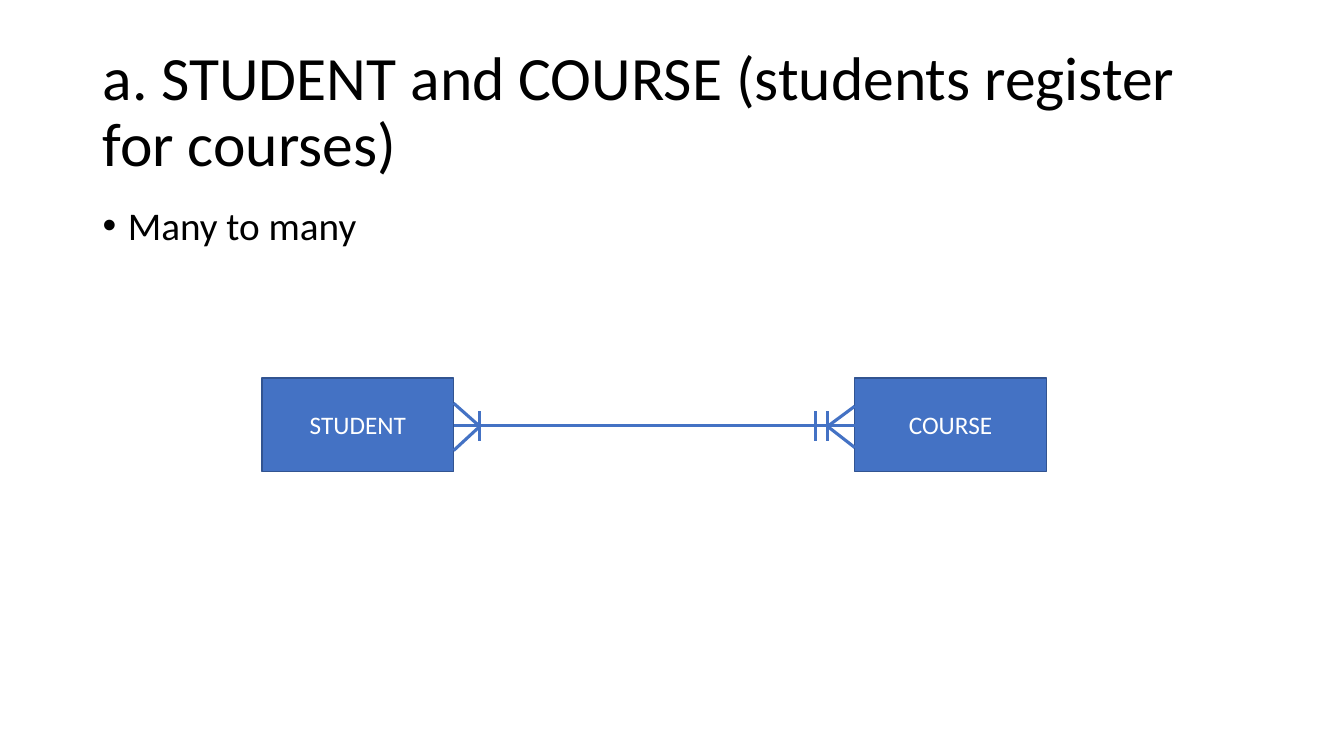
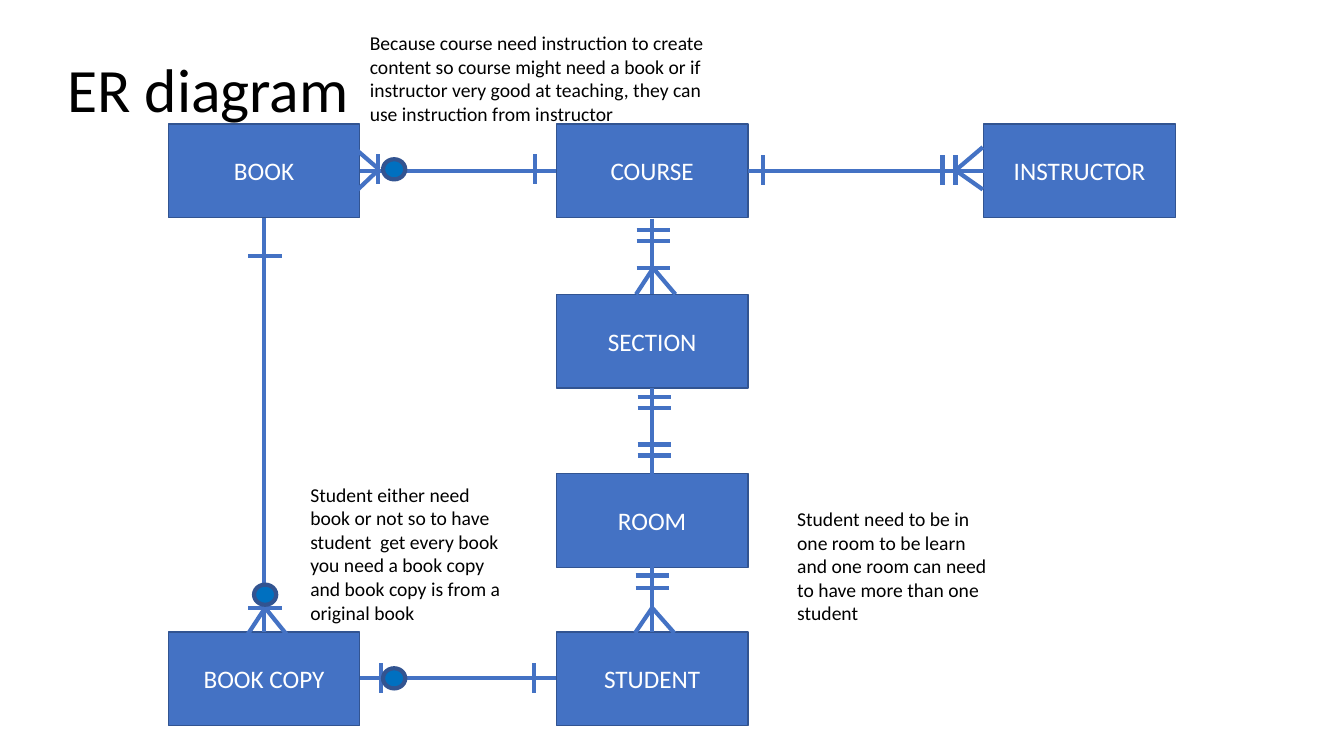
from typing import NamedTuple

from lxml import etree
from pptx import Presentation
from pptx.dml.color import RGBColor
from pptx.enum.shapes import MSO_CONNECTOR as Connector, MSO_SHAPE as Shape
from pptx.enum.text import MSO_ANCHOR as Anchor, PP_ALIGN as Align
from pptx.oxml.ns import qn
from pptx.util import Cm, Pt

COLORS = {"entity": "4472C4", "outline": "325491", "optional": "0070C0",
          "text": "000000", "label": "FFFFFF"}
FONT = "Calibri"
BOX_WIDTH, BOX_HEIGHT = 1.9, 0.93
RING_WIDTH, RING_HEIGHT = 0.22, 0.2
TITLE_SIZE = (11.5, 1.45)


class Link(NamedTuple):
    """A relationship line; marks sit along it and are centred on mark_axis."""
    direction: str
    axis: float
    start: float
    end: float
    mark_axis: float
    bars: tuple = ()
    feet: tuple = ()    # tip, base, then the two toes across the line
    rings: tuple = ()   # position along, centre across


# Content: places in inches, turned into Cm by length()
LEFT, MIDDLE, RIGHT = 1.67, 5.52, 9.76
TOP, SECTION_TOP, ROOM_TOP, BOTTOM = 1.23, 2.92, 4.7, 6.27

SLIDES = [
    {
        "title": ("a. STUDENT and COURSE (students register for courses)", 0.92, 0.4),
        "bullets": ["Many to many"],
        "entities": [("STUDENT", 2.6, 3.75), ("COURSE", 8.48, 3.75)],
        "line_width": 2.25,
        "links": [
            Link("across", 4.22, 4.5, 8.48, 4.23, (4.76, 8.09, 8.21),
                 ((4.76, 4.5, 4, 4.47), (8.21, 8.48, 4.03, 4.44))),
        ],
        "notes": [],
    },
    {
        "title": ("ER diagram", 0.57, 0.19),
        "bullets": [],
        "entities": [
            ("BOOK", LEFT, TOP), ("COURSE", MIDDLE, TOP), ("INSTRUCTOR", RIGHT, TOP),
            ("SECTION", MIDDLE, SECTION_TOP), ("ROOM", MIDDLE, ROOM_TOP),
            ("BOOK COPY", LEFT, BOTTOM), ("STUDENT", MIDDLE, BOTTOM),
        ],
        "line_width": 3,
        "links": [
            Link("down", 6.47, 2.17, 2.92, 6.48, (2.28, 2.39, 2.66),
                 ((2.66, 2.92, 6.31, 6.7),)),
            Link("down", 6.47, 3.85, 4.7, 6.49, (3.94, 4.05, 4.41, 4.52)),
            Link("down", 6.47, 5.61, 6.27, 6.47, (5.71, 5.83),
                 ((6.03, 6.28, 6.3, 6.69),)),
            Link("across", 1.7, 7.42, 9.76, 1.69, (7.57, 9.35, 9.48),
                 ((9.48, 9.75, 1.46, 1.88),)),
            Link("across", 1.7, 3.57, 5.52, 1.68, (3.75, 5.31),
                 ((3.76, 3.54, 1.49, 1.89),), ((3.91, 1.68),)),
            Link("down", 2.62, 2.16, 6.27, 2.63, (2.54, 6.03),
                 ((6.03, 6.29, 2.46, 2.84),), ((5.9, 2.63),)),
            Link("across", 6.73, 3.57, 5.52, 6.73, (3.78, 5.3),
                 (), ((3.91, 6.73),)),
        ],
        "notes": [
            ("Because course need instruction to create content so course might need "
             "a book or if instructor very good at teaching, they can use instruction "
             "from instructor", 3.57, 0.26, 3.59, 1.04),
            ("Student either need book or not so to have student  get every book you "
             "need a book copy and book copy is from a original book",
             2.98, 4.74, 2.16, 1.51),
            ("Student need to be in one room to be learn and one room can need to have "
             "more than one student", 7.81, 4.98, 2.16, 1.28),
        ],
    },
]


def length(inches):
    return Cm(inches * 2.54)


def color(name):
    return RGBColor.from_string(COLORS[name])


def write(paragraph, text, size, color_name):
    run = paragraph.add_run()
    run.text = text
    run.font.name, run.font.size = FONT, Pt(size)
    run.font.color.rgb = color(color_name)


def add_text(slide, text, size, left, top, width, height):
    box = slide.shapes.add_textbox(*map(length, (left, top, width, height)))
    box.text_frame.word_wrap = True
    paragraph = box.text_frame.paragraphs[0]
    write(paragraph, text, size, "text")
    return box.text_frame, paragraph


def add_title(slide, text, left, top):
    frame, paragraph = add_text(slide, text, 44, left, top, *TITLE_SIZE)
    frame.vertical_anchor = Anchor.MIDDLE
    paragraph.line_spacing = 0.9


def add_bullet(slide, text):
    frame, paragraph = add_text(slide, text, 28, 0.92, 2, 11.5, 4.76)
    paragraph.line_spacing, paragraph.space_before = 0.9, Pt(10)
    properties = paragraph._p.get_or_add_pPr()
    properties.set("marL", str(length(0.25)))
    properties.set("indent", str(-length(0.25)))
    etree.SubElement(properties, qn("a:buFont")).set("typeface", "Arial")
    etree.SubElement(properties, qn("a:buChar")).set("char", "\u2022")


def add_filled(slide, kind, place, fill, line_width):
    shape = slide.shapes.add_shape(kind, *map(length, place))
    shape.shadow.inherit = False
    shape.fill.solid()
    shape.fill.fore_color.rgb = color(fill)
    shape.line.color.rgb = color("outline")
    shape.line.width = Pt(line_width)
    return shape


def add_entity(slide, name, left, top):
    place = (left, top, BOX_WIDTH, BOX_HEIGHT)
    shape = add_filled(slide, Shape.RECTANGLE, place, "entity", 1)
    shape.text_frame.vertical_anchor = Anchor.MIDDLE
    paragraph = shape.text_frame.paragraphs[0]
    paragraph.alignment = Align.CENTER
    write(paragraph, name, 18, "label")


def add_line(slide, start, end, width):
    line = slide.shapes.add_connector(Connector.STRAIGHT, *map(length, start + end))
    line.line.color.rgb = color("entity")
    line.line.width = Pt(width)
    etree.SubElement(line._element.spPr, qn("a:effectLst"))


def add_link(slide, link, width):
    across = link.direction == "across"
    half_bar = 0.15 if across else 0.165

    def point(along, offset):
        return (along, offset) if across else (offset, along)

    add_line(slide, point(link.start, link.axis), point(link.end, link.axis), width)
    for along in link.bars:
        add_line(slide, point(along, link.mark_axis - half_bar),
                 point(along, link.mark_axis + half_bar), width)
    for tip, base, *toes in link.feet:
        for toe in toes:
            add_line(slide, point(tip, link.mark_axis), point(base, toe), width)
    for ring in link.rings:
        x, y = point(*ring)
        place = (x - RING_WIDTH / 2, y - RING_HEIGHT / 2, RING_WIDTH, RING_HEIGHT)
        add_filled(slide, Shape.OVAL, place, "optional", 3)


# Build the slides
presentation = Presentation()
presentation.slide_width, presentation.slide_height = length(13.333), length(7.5)
for content in SLIDES:
    slide = presentation.slides.add_slide(presentation.slide_layouts[6])
    add_title(slide, *content["title"])
    for bullet in content["bullets"]:
        add_bullet(slide, bullet)
    for entity in content["entities"]:
        add_entity(slide, *entity)
    for link in content["links"]:
        add_link(slide, link, content["line_width"])
    for text, *place in content["notes"]:
        add_text(slide, text, 14, *place)

presentation.save("out.pptx")
